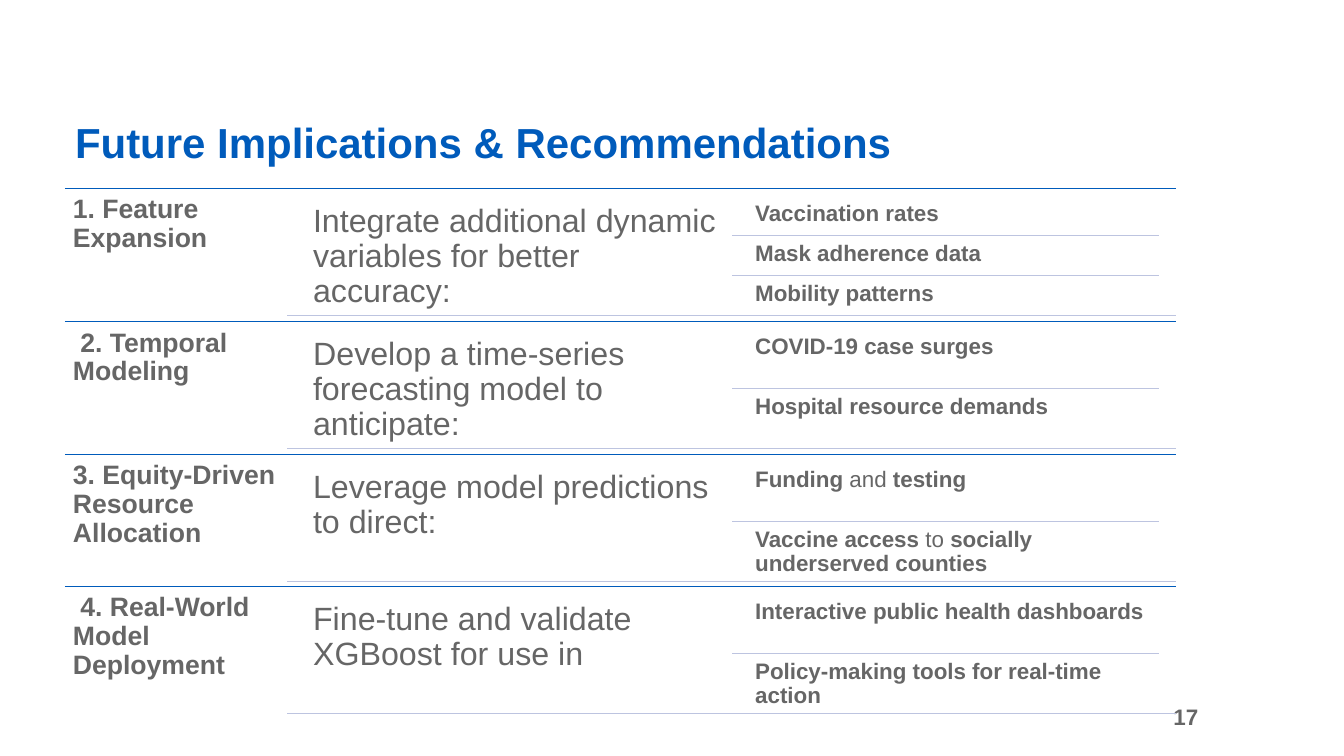
import pptx
import pptx.dml.color
import pptx.enum.shapes
import pptx.enum.text
import pptx.util
import lxml.etree

PX = 914400 / 100.8
FONT = "Arial"
COLOURS = {"blue": "005BBB", "grey": "666666", "rule": "BDC4E0"}
ANCHOR = pptx.enum.text.MSO_ANCHOR
ALIGN = pptx.enum.text.PP_ALIGN


def add_text(place, spans, size, insets, colour="grey", bold=True,
             anchor=ANCHOR.TOP, align=ALIGN.LEFT, spacing=0.9):
    """Add a one-paragraph box; every second span is set in regular weight."""
    box = page.shapes.add_textbox(*(round(length * PX) for length in place))
    frame = box.text_frame
    frame.word_wrap = True
    frame.vertical_anchor = anchor
    (frame.margin_left, frame.margin_top,
     frame.margin_right, frame.margin_bottom) = (round(i * PX) for i in insets)
    para = frame.paragraphs[0]
    para.alignment = align
    para.line_spacing = spacing
    para.font.name = FONT
    para.font.size = pptx.util.Pt(size)
    para.font.bold = bold
    para.font.color.rgb = pptx.dml.color.RGBColor.from_string(COLOURS[colour])
    for index, text in enumerate(spans):
        span = para.add_run()
        span.text = text
        if index % 2:
            span.font.bold = False


def add_rule(left, right, y, colour="rule"):
    line = page.shapes.add_connector(
        pptx.enum.shapes.MSO_CONNECTOR.STRAIGHT,
        *(round(length * PX) for length in (left, y, right, y)))
    line.line.color.rgb = pptx.dml.color.RGBColor.from_string(COLOURS[colour])
    line.line.width = pptx.util.Pt(0.5)
    properties = line._element.spPr
    lxml.etree.SubElement(properties, pptx.oxml.ns.qn("a:effectLst"))


deck = pptx.Presentation()
deck.slide_width = pptx.util.Inches(13.33)
deck.slide_height = pptx.util.Inches(7.5)
page = deck.slides.add_slide(deck.slide_layouts[6])

add_text((1131, 688, 80, 58), ["17"], 16, (13, 7, 13, 7),
         anchor=ANCHOR.MIDDLE, align=ALIGN.RIGHT, spacing=1.0)
add_text((65, 105, 872, 96), ["Future Implications & Recommendations"], 30,
         (10, 5, 10, 33), colour="blue", anchor=ANCHOR.BOTTOM)

# Each row: heading, lead-in, items (each a list of spans)
recommendations = [
    ("1. Feature Expansion",
     "Integrate additional dynamic variables for better accuracy:",
     [["Vaccination rates"], ["Mask adherence data"], ["Mobility patterns"]]),
    (" 2. Temporal Modeling",
     "Develop a time-series forecasting model to anticipate:",
     [["COVID-19 case surges"], ["Hospital resource demands"]]),
    ("3. Equity-Driven Resource Allocation",
     "Leverage model predictions to direct:",
     [["Funding", " and ", "testing"],
      ["Vaccine access", " to ", "socially underserved counties"]]),
    (" 4. Real-World Model Deployment",
     "Fine-tune and validate XGBoost for use in",
     [["Interactive public health dashboards"],
      ["Policy-making tools for real-time action"]]),
]

TABLE_TOP, TABLE_HEIGHT = 188, 531
TABLE_LEFT, TABLE_RIGHT = 65, 1176
ROW_PAD, CONTENT_HEIGHT = 7, 120

for row, (heading, lead_in, items) in enumerate(recommendations):
    row_top = TABLE_TOP + round(row * TABLE_HEIGHT / len(recommendations))
    content_top = row_top + ROW_PAD
    add_rule(TABLE_LEFT, TABLE_RIGHT, row_top, "blue")
    add_text((TABLE_LEFT, row_top, 222, 133), [heading], 19, (8,) * 4)
    add_text((303, content_top, 428, CONTENT_HEIGHT), [lead_in], 23,
             (10,) * 4, bold=False)
    item_height = CONTENT_HEIGHT // len(items)
    for index, spans in enumerate(items):
        item_top = content_top + index * item_height
        if index:
            add_rule(732, 1159, item_top)
        add_text((748, item_top, 428, item_height), spans, 16, (7,) * 4)
    add_rule(287, TABLE_RIGHT, content_top + CONTENT_HEIGHT)

deck.save("out.pptx")
